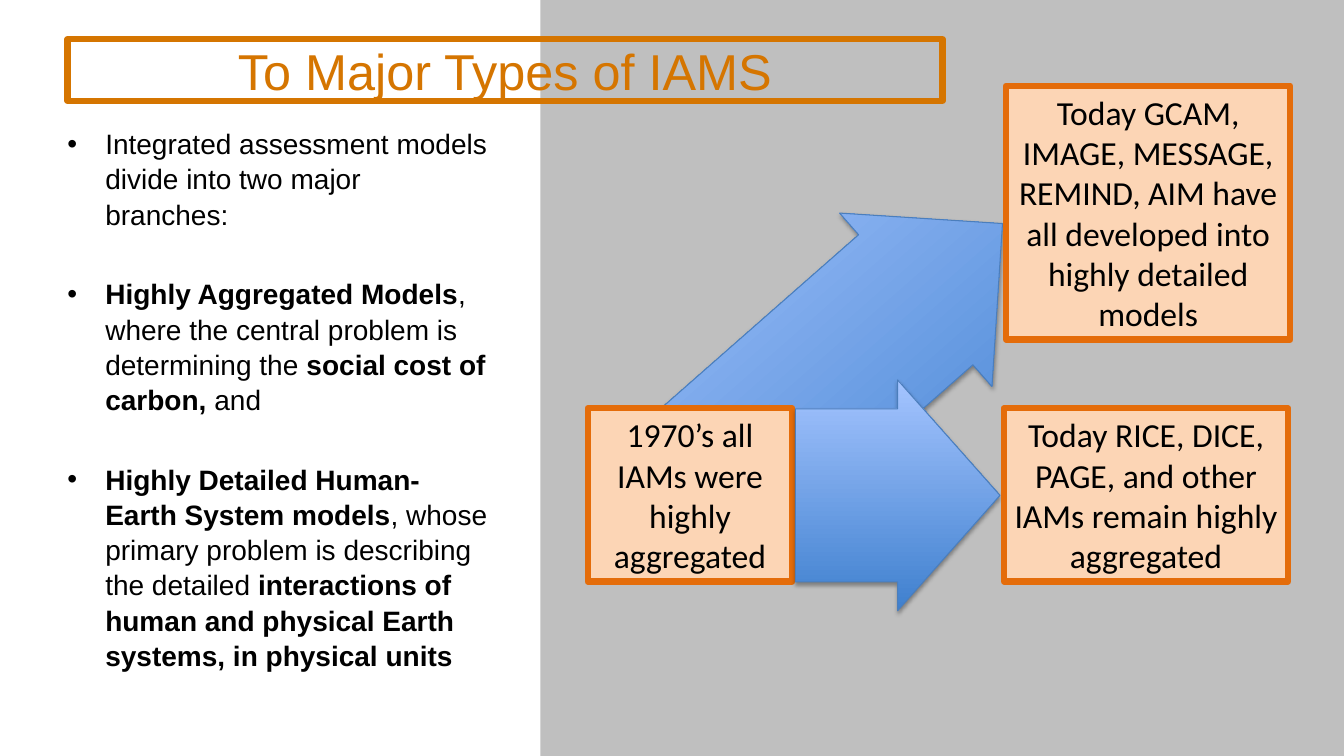
from lxml import etree
from pptx import Presentation
from pptx.dml.color import RGBColor
from pptx.enum.shapes import MSO_SHAPE
from pptx.enum.text import MSO_ANCHOR, PP_ALIGN
from pptx.oxml import parse_xml
from pptx.oxml.ns import nsdecls, qn
from pptx.util import Pt

RECTANGLE = MSO_SHAPE.RECTANGLE
RIGHT_ARROW = MSO_SHAPE.RIGHT_ARROW
CENTER = PP_ALIGN.CENTER
TOP = MSO_ANCHOR.TOP
MIDDLE = MSO_ANCHOR.MIDDLE

TITLE_LAYOUT = 5
BULLET_INDENT = 27
ARROW_SHADOW = (
    f'<a:effectLst {nsdecls("a")}>'
    '<a:outerShdw blurRad="40000" dist="23000" dir="5400000" rotWithShape="0">'
    '<a:srgbClr val="000000"><a:alpha val="35000"/></a:srgbClr>'
    '</a:outerShdw></a:effectLst>'
)
BRANCHES = [
    [("Integrated assessment models divide into two major branches:", False)],
    [
        ("Highly Aggregated Models", True),
        (", where the central problem is determining the ", False),
        ("social cost of carbon, ", True),
        ("and", False),
    ],
    [
        ("Highly Detailed Human-Earth System models", True),
        (", whose primary problem is describing the detailed ", False),
        ("interactions of human and physical Earth systems, in physical units", True),
    ],
]


def color(value):
    """Turn a hex string into a colour."""
    return RGBColor.from_string(value)


def add_text(para, text, size=20, font="Arial", ink="000000", bold=False):
    """Add one formatted span to a paragraph."""
    span = para.add_run()
    span.text = text
    span.font.size = Pt(size)
    span.font.name = font
    span.font.bold = bold
    span.font.color.rgb = color(ink)


def set_frame(frame, anchor, margin=0):
    """Wrap a text frame and set its anchor and margins."""
    frame.word_wrap = True
    frame.vertical_anchor = anchor
    frame.margin_left = frame.margin_right = Pt(margin)
    frame.margin_top = frame.margin_bottom = Pt(margin / 2)


def set_outline(shape, ink, width):
    """Give a shape a solid outline."""
    shape.line.color.rgb = color(ink)
    shape.line.width = Pt(width)


def add_panel(page, box):
    """Draw the grey panel behind the diagram."""
    panel = page.shapes.add_shape(RECTANGLE, *map(Pt, box))
    panel.shadow.inherit = False
    panel.fill.solid()
    panel.fill.fore_color.rgb = color("BFBFBF")
    panel.line.fill.background()


def place_title(page, box, text):
    """Place the outlined title in front of the shapes drawn so far."""
    title = page.shapes.title
    title.left, title.top, title.width, title.height = map(Pt, box)
    set_outline(title, "D57500", 4.5)
    set_frame(title.text_frame, MIDDLE)
    para = title.text_frame.paragraphs[0]
    para.alignment = CENTER
    add_text(para, text, size=36, ink="D57500")
    page.shapes.element.append(title.element)


def add_bullet(para):
    """Give a paragraph a hanging round bullet."""
    properties = para._p.get_or_add_pPr()
    properties.set("marL", str(Pt(BULLET_INDENT)))
    properties.set("indent", str(-Pt(BULLET_INDENT)))
    etree.SubElement(properties, qn("a:buFont")).set("typeface", "Arial")
    etree.SubElement(properties, qn("a:buChar")).set("char", "•")


def add_branches(page, box, branches):
    """Write the bulleted list of model branches."""
    frame = page.shapes.add_textbox(*map(Pt, box)).text_frame
    set_frame(frame, TOP)
    for index, spans in enumerate(branches):
        para = frame.add_paragraph() if index else frame.paragraphs[0]
        add_bullet(para)
        para.line_spacing = 1.05
        if index:
            para.space_before = Pt(31.6)
        for text, bold in spans:
            add_text(para, text, bold=bold)


def add_arrow(page, box, rotation=0):
    """Draw a wide block arrow with a blue gradient and a soft shadow."""
    arrow = page.shapes.add_shape(RIGHT_ARROW, *map(Pt, box))
    arrow.rotation = rotation
    arrow.adjustments[0] = 0.75
    arrow.adjustments[1] = 0.5
    arrow.fill.gradient()
    arrow.fill.gradient_angle = 90
    for stop, ink in zip(arrow.fill.gradient_stops, ("3F80CE", "A4C4FF")):
        stop.color.rgb = color(ink)
    set_outline(arrow, "4B7EBC", 0.75)
    arrow.element.spPr.append(parse_xml(ARROW_SHADOW))


def add_stage(page, box, text):
    """Draw one orange box of the diagram with its text."""
    stage = page.shapes.add_shape(RECTANGLE, *map(Pt, box))
    stage.shadow.inherit = False
    stage.fill.solid()
    stage.fill.fore_color.rgb = color("FCD5B5")
    set_outline(stage, "E46C0A", 4.5)
    set_frame(stage.text_frame, MIDDLE, margin=7.2)
    para = stage.text_frame.paragraphs[0]
    para.alignment = CENTER
    add_text(para, text, size=24, font="Calibri")


def add_diagram(page, left, top):
    """Draw the split of early models into two families."""
    add_stage(page, (left, top, 146.2, 123.8),
              "1970’s all IAMs were highly aggregated")
    add_arrow(page, (left + 148.3, top - 20.2, 146.2, 164.9))
    add_stage(page, (left + 297.3, top, 203, 123.8),
              "Today RICE, DICE, PAGE, and other IAMs remain highly aggregated")
    add_stage(page, (left + 298.8, top - 230.4, 203, 181.4),
              "Today GCAM, IMAGE, MESSAGE, REMIND, AIM have all developed "
              "into highly detailed models")


def main():
    """Build the slide and save it."""
    deck = Presentation()
    deck.slide_width, deck.slide_height = Pt(960), Pt(540)
    page = deck.slides.add_slide(deck.slide_layouts[TITLE_LAYOUT])
    add_panel(page, (385.9, 0, 574.1, 540))
    add_arrow(page, (475.9, 167.8, 274.3, 164.9), rotation=318.7)
    place_title(page, (48.2, 28.1, 625, 43.9), "To Major Types of IAMS")
    add_branches(page, (48.2, 89.3, 303.1, 358.6), BRANCHES)
    add_diagram(page, 419.8, 291.6)
    deck.save("out.pptx")


if __name__ == "__main__":
    main()
